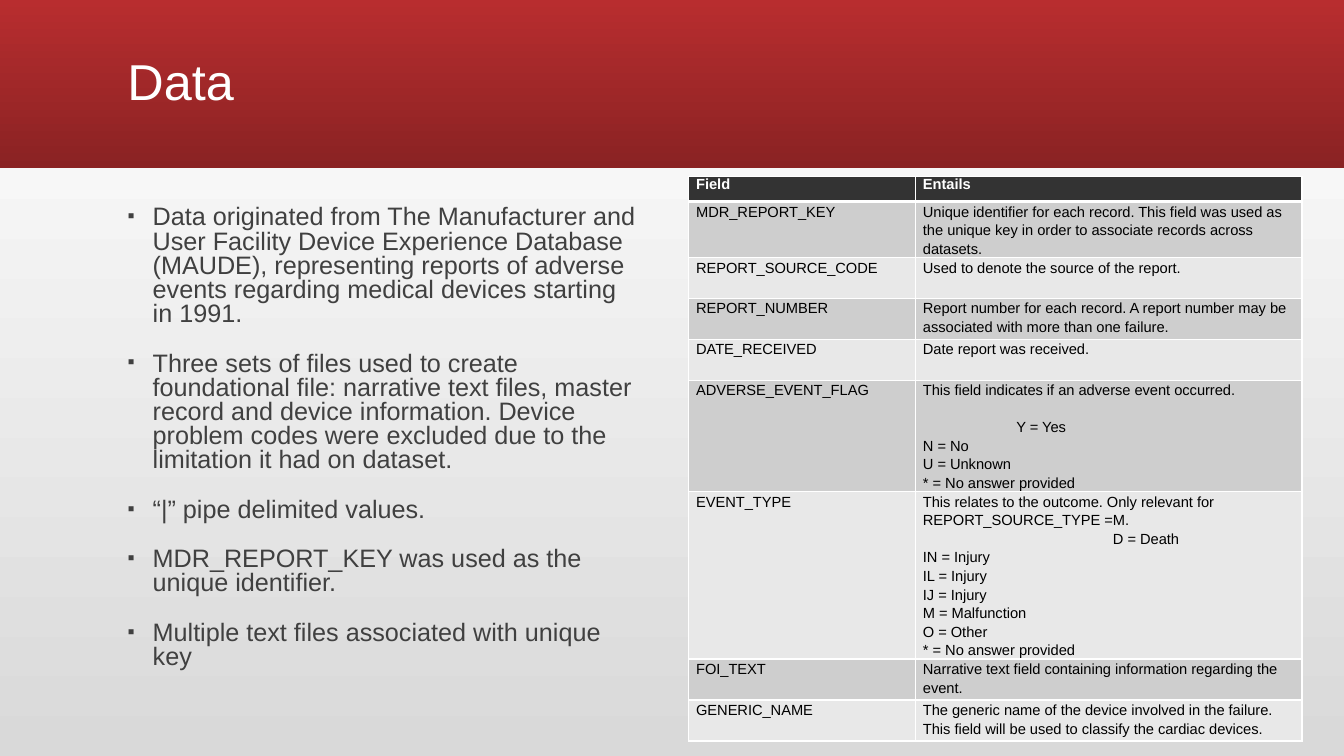
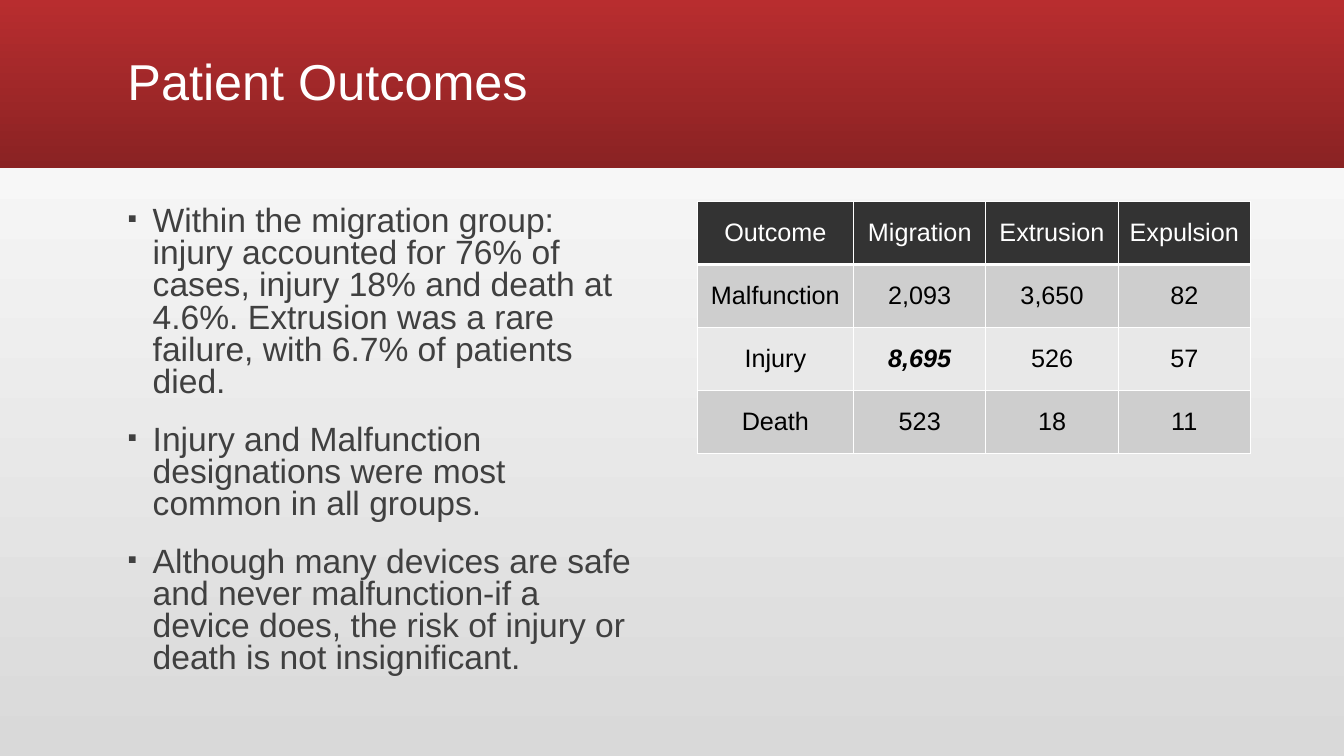
"""Build two slides on device report data and patient outcomes."""
from pptx import Presentation
from pptx.dml.color import RGBColor
from pptx.enum.shapes import MSO_SHAPE
from pptx.enum.text import MSO_ANCHOR, PP_ALIGN
from pptx.oxml import parse_xml
from pptx.oxml.ns import nsdecls
from pptx.util import Pt

PX = 9525


class Theme:
    font = "Arial"
    page_top, page_bottom = "FFFFFF", "D9D9D9"
    band_top, band_bottom = "B82D2F", "8A2223"
    white, black, body = "FFFFFF", "000000", "404040"
    header_fill = "333333"
    row_fills = ("CECECE", "E8E8E8")
    title_size = 36
    thin, thick = 1, 3


TITLE_FORMAT = {"line_spacing": 0.9}
BULLET_FORMAT = {"line_spacing": 0.8, "space_before": Pt(18)}
BULLET_MARKS = ('buSzPct {} val="80000"', 'buFont {} typeface="Arial"', 'buChar {} char="▪"')

PAGES = [
    {
        "title": "Data",
        "body_size": 18,
        "bullets": [
            "Data originated from The Manufacturer and User Facility Device Experience Database (MAUDE), "
            "representing reports of adverse events regarding medical devices starting in 1991.",
            "Three sets of files used to create foundational file: narrative text files, master record and "
            "device information. Device problem codes were excluded due to the limitation it had on dataset.",
            "“|” pipe delimited values.",
            "MDR_REPORT_KEY was used as the unique identifier.",
            "Multiple text files associated with unique key",
        ],
        "origin": (656, 168),
        "columns": [216, 368],
        "row_heights": [24] + [39] * 8,
        "table_size": 10.5,
        "header_bold": True,
        "cell_format": {"margin_left": 7 * PX, "margin_right": 7 * PX, "margin_top": 0, "margin_bottom": 0},
        "header_para": {},
        "row_para": {"line_spacing": Pt(13.3)},
        "indents": {"Y = Yes": (89, 13), "D = Death": (181, 0)},
        "emphasis": (),
        "rows": [
            ("Field", "Entails"),
            ("MDR_REPORT_KEY", "Unique identifier for each record. This field was used as the unique key "
                               "in order to associate records across datasets."),
            ("REPORT_SOURCE_CODE", "Used to denote the source of the report."),
            ("REPORT_NUMBER", "Report number for each record. A report number may be associated with "
                              "more than one failure."),
            ("DATE_RECEIVED", "Date report was received."),
            ("ADVERSE_EVENT_FLAG", "This field indicates if an adverse event occurred.\nY = Yes\nN = No\n"
                                   "U = Unknown\n* = No answer provided"),
            ("EVENT_TYPE", "This relates to the outcome. Only relevant for REPORT_SOURCE_TYPE =M.\n"
                           "D = Death\nIN = Injury\nIL = Injury\nIJ = Injury\nM = Malfunction\n"
                           "O = Other\n* = No answer provided"),
            ("FOI_TEXT", "Narrative text field containing information regarding the event."),
            ("GENERIC_NAME", "The generic name of the device involved in the failure. This field will be "
                             "used to classify the cardiac devices."),
        ],
    },
    {
        "title": "Patient Outcomes",
        "body_size": 24,
        "bullets": [
            "Within the migration group: injury accounted for 76% of cases, injury 18% and death at 4.6%. "
            "Extrusion was a rare failure, with 6.7% of patients died.",
            "Injury and Malfunction designations were most common in all groups.",
            "Although many devices are safe and never malfunction-if a device does, the risk of injury or "
            "death is not insignificant.",
        ],
        "origin": (664, 192),
        "columns": [149, 126, 126, 126],
        "row_heights": [60] * 4,
        "table_size": 18,
        "header_bold": False,
        "cell_format": {"vertical_anchor": MSO_ANCHOR.MIDDLE},
        "header_para": {"alignment": PP_ALIGN.CENTER},
        "row_para": {"alignment": PP_ALIGN.CENTER},
        "indents": {},
        "emphasis": ("8,695",),
        "rows": [
            ("Outcome", "Migration", "Extrusion", "Expulsion"),
            ("Malfunction", "2,093", "3,650", "82"),
            ("Injury", "8,695", "526", "57"),
            ("Death", "523", "18", "11"),
        ],
    },
]


def shade(fill, top, bottom):
    fill.gradient()
    fill.gradient_angle = 270
    for stop, colour in zip(fill.gradient_stops, (top, bottom)):
        stop.color.rgb = RGBColor.from_string(colour)


def write(frame, lines, colour, para_format, font_format):
    frame.word_wrap = True
    for index, line in enumerate(lines):
        para = frame.add_paragraph() if index else frame.paragraphs[0]
        span = para.add_run()
        span.text = line
        span.font.color.rgb = RGBColor.from_string(colour)
        for target, values in ((para, para_format), (span.font, {"name": Theme.font, **font_format})):
            for name, value in values.items():
                setattr(target, name, value)
    return frame.paragraphs


deck = Presentation()
deck.slide_width, deck.slide_height = 1280 * PX, 720 * PX
shade(deck.slide_master.background.fill, Theme.page_top, Theme.page_bottom)

for content in PAGES:
    page = deck.slides.add_slide(deck.slide_layouts[6])

    band = page.shapes.add_shape(MSO_SHAPE.RECTANGLE, 0, 0, deck.slide_width, 160 * PX)
    band.shadow.inherit = False
    band.line.fill.background()
    shade(band.fill, Theme.band_top, Theme.band_bottom)

    title_box = page.shapes.add_textbox(112 * PX, 11 * PX, 1056 * PX, 139 * PX)
    title_box.text_frame.vertical_anchor = MSO_ANCHOR.MIDDLE
    write(title_box.text_frame, [content["title"]], Theme.white, TITLE_FORMAT, {"size": Pt(Theme.title_size)})

    body_box = page.shapes.add_textbox(112 * PX, 192 * PX, 504 * PX, 480 * PX)
    body_font = {"size": Pt(content["body_size"])}
    for para in write(body_box.text_frame, content["bullets"], Theme.body, BULLET_FORMAT, body_font):
        properties = para._p.get_or_add_pPr()
        properties.set("marL", str(24 * PX))
        properties.set("indent", str(-24 * PX))
        for mark in BULLET_MARKS:
            properties.append(parse_xml(f'<a:{mark.format(nsdecls("a"))}/>'))

    left, top = content["origin"]
    columns, heights, rows = content["columns"], content["row_heights"], content["rows"]
    table = page.shapes.add_table(len(rows), len(columns), left * PX, top * PX,
                                  sum(columns) * PX, sum(heights) * PX).table
    for column, width in zip(table.columns, columns):
        column.width = width * PX
    for row_index, (row, height, texts) in enumerate(zip(table.rows, heights, rows)):
        row.height = height * PX
        header = row_index == 0
        colour = Theme.white if header else Theme.black
        fill = Theme.header_fill if header else Theme.row_fills[(row_index - 1) % 2]
        para_format = content["header_para"] if header else content["row_para"]
        edges = {
            "lnL": Theme.thin,
            "lnR": Theme.thin,
            "lnT": Theme.thick if row_index == 1 else Theme.thin,
            "lnB": Theme.thick if header else Theme.thin,
        }
        for cell, text in zip(row.cells, texts):
            for name, value in content["cell_format"].items():
                setattr(cell, name, value)
            for edge, weight in edges.items():
                cell._tc.get_or_add_tcPr().append(parse_xml(
                    f'<a:{edge} {nsdecls("a")} w="{Pt(weight)}"><a:solidFill>'
                    f'<a:srgbClr val="{Theme.white}"/></a:solidFill></a:{edge}>'))
            cell.fill.solid()
            cell.fill.fore_color.rgb = RGBColor.from_string(fill)
            strong = text in content["emphasis"]
            cell_font = {
                "size": Pt(content["table_size"]),
                "bold": strong or (header and content["header_bold"]),
                "italic": strong,
            }
            for para in write(cell.text_frame, text.split("\n"), colour, para_format, cell_font):
                if para.text in content["indents"]:
                    indent, gap = content["indents"][para.text]
                    para._p.get_or_add_pPr().set("marL", str(indent * PX))
                    para.space_before = Pt(gap)

deck.save("out.pptx")
